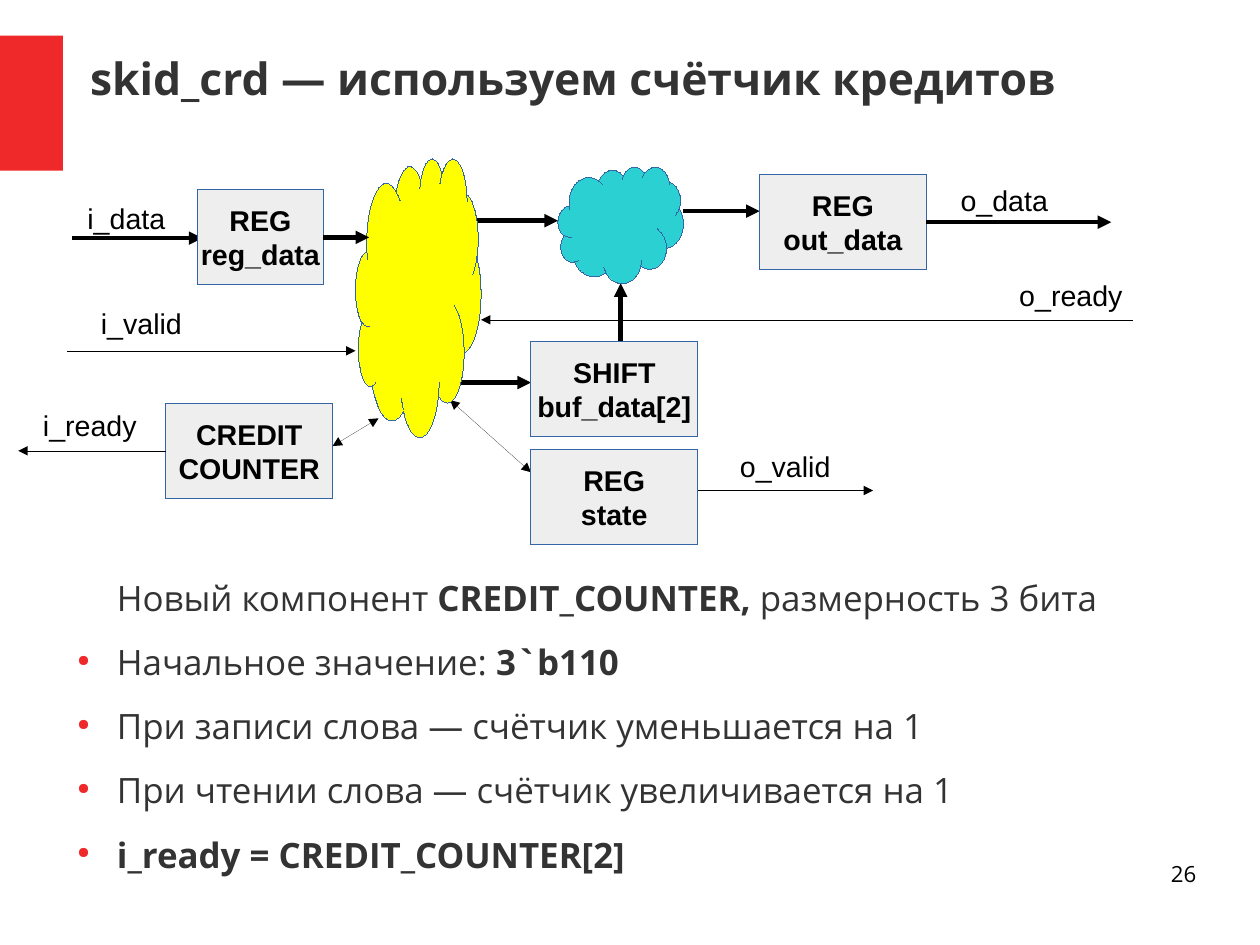
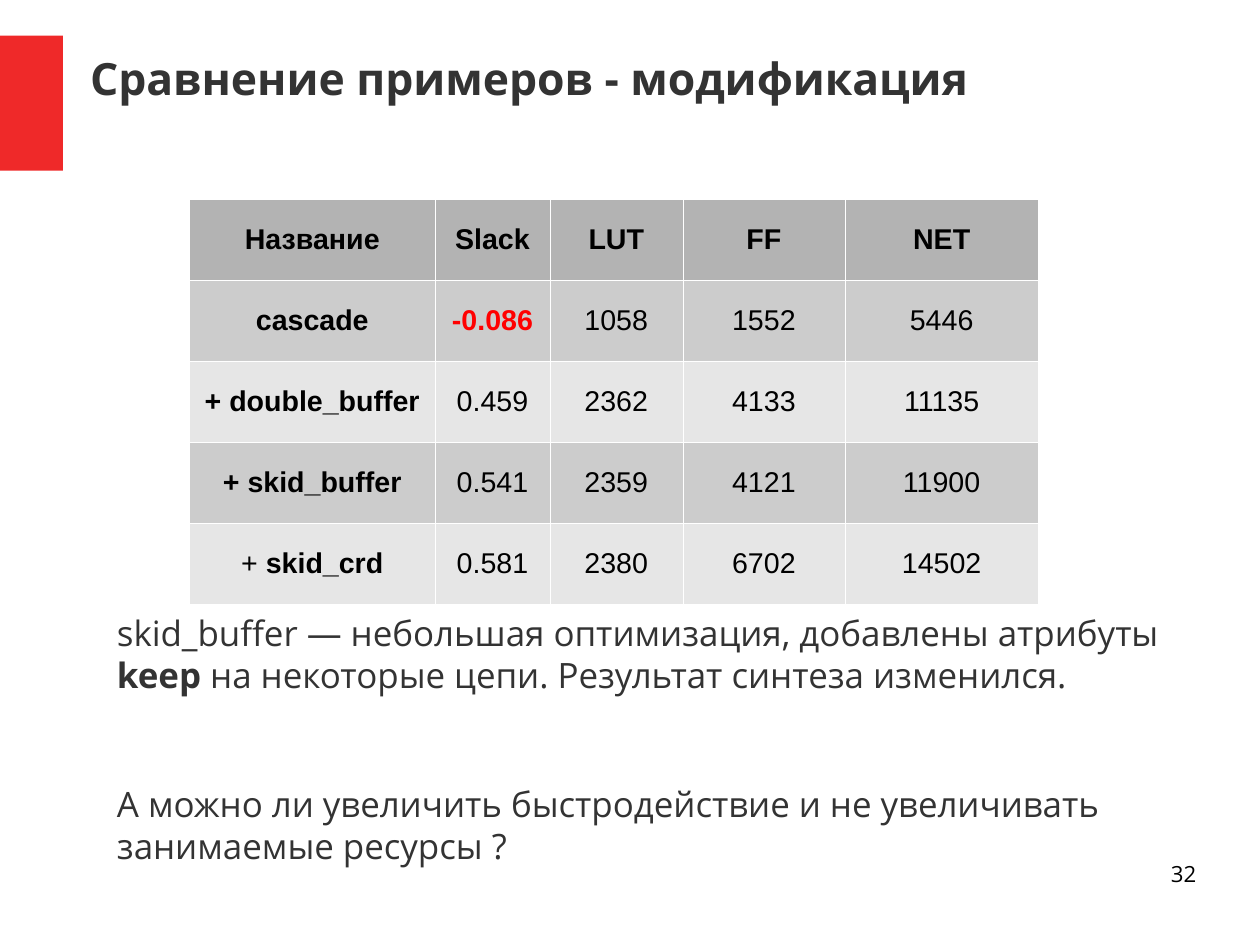
from dataclasses import dataclass
from typing import Any, NamedTuple, Optional

from lxml import etree
from pptx import Presentation
from pptx.dml.color import RGBColor
from pptx.enum.shapes import MSO_CONNECTOR, MSO_SHAPE
from pptx.enum.text import MSO_ANCHOR, PP_ALIGN
from pptx.oxml.ns import qn
from pptx.shapes.autoshape import Shape
from pptx.slide import Slide
from pptx.util import Pt

RECTANGLE, CLOUD = MSO_SHAPE.RECTANGLE, MSO_SHAPE.CLOUD
STRAIGHT = MSO_CONNECTOR.STRAIGHT
TOP, MIDDLE = MSO_ANCHOR.TOP, MSO_ANCHOR.MIDDLE
LEFT, CENTER, RIGHT = PP_ALIGN.LEFT, PP_ALIGN.CENTER, PP_ALIGN.RIGHT
LEFT_SIDE, RIGHT_SIDE = 1, 3

COLORS = {
    "accent": "EF2929", "heading": "333333", "ink": "000000", "alert": "FF0000",
    "outline": "3465A4", "box": "EEEEEE", "logic": "FFFF00", "mux": "2BD0D2",
    "header": "B3B3B3", "odd": "CCCCCC", "even": "E6E6E6", "grid": "FFFFFF",
}
TITLE_FONT = {"name": "Open Sans", "size": Pt(28), "bold": True}
BODY_FONT = {"name": "Open Sans", "size": Pt(22)}
NUMBER_FONT = {"name": "Open Sans", "size": Pt(14)}
DIAGRAM_FONT = {"name": "Arial", "size": Pt(18)}
NO_MARGINS = {"margin_left": 0, "margin_right": 0, "margin_top": 0, "margin_bottom": 0}
HAIRLINE, BUS = 0, 2.83


class Area(NamedTuple):
    left: float
    top: float
    width: float
    height: float

    def lengths(self) -> list[int]:
        return [Pt(length) for length in self]


class Run(NamedTuple):
    text: str
    bold: bool = False
    color: str = "ink"


@dataclass(frozen=True)
class BodyLine:
    runs: tuple[Run, ...]
    bullet: bool = True
    space_after: float = 14.1


@dataclass(frozen=True)
class Block:
    lines: tuple[str, str]
    area: Area


@dataclass(frozen=True)
class Cloud:
    color: str
    area: Area


@dataclass(frozen=True)
class Signal:
    name: str
    left: float
    top: float


@dataclass(frozen=True)
class Flow:
    start: tuple[float, float]
    end: tuple[float, float]
    width: float = HAIRLINE
    head: bool = False
    tail: bool = True
    start_join: Optional[tuple[str, int]] = None
    end_join: Optional[tuple[str, int]] = None


BLOCKS = {
    "out_data": Block(("REG", "out_data"), Area(478.5, 110, 105, 60)),
    "buf_data": Block(("SHIFT", "buf_data[2]"), Area(334.5, 215, 105, 60)),
    "state": Block(("REG", "state"), Area(334.5, 283, 105, 60)),
    "reg_data": Block(("REG", "reg_data"), Area(124.5, 119.5, 79, 60)),
    "credit": Block(("CREDIT", "COUNTER"), Area(104.5, 254, 105, 60)),
}
CLOUDS = (
    Cloud("mux", Area(351.5, 105, 79, 73.5)),
    Cloud("logic", Area(224, 99.5, 79, 175.5)),
)
SIGNALS = (
    Signal("i_valid", 56.5, 189.5), Signal("i_ready", 20, 253.5),
    Signal("i_data", 48, 123), Signal("o_valid", 459, 279),
    Signal("o_ready", 635, 171.5), Signal("o_data", 598, 111.5),
)
BACK_FLOWS = (
    Flow((42.5, 221), (224, 221)),
    Flow((45.5, 150), (127.5, 150), BUS),
    Flow((439.5, 309), (550, 309)),
    Flow((303, 201.5), (714, 201.5), head=True, tail=False),
    Flow((283.5, 139), (351.5, 139), BUS),
    Flow((430.5, 133), (478.5, 133), BUS),
    Flow((391, 215), (391, 178.5), BUS),
    Flow((266.5, 241), (334.5, 241), BUS),
    Flow((283.5, 252), (334.5, 297.5), head=True),
)
FRONT_FLOWS = (
    Flow((583.5, 140), (700, 140), BUS, start_join=("out_data", RIGHT_SIDE)),
    Flow((11.5, 284), (104.5, 284), head=True, tail=False, end_join=("credit", LEFT_SIDE)),
    Flow((203.5, 149.5), (232.5, 149.5), BUS, start_join=("reg_data", RIGHT_SIDE)),
    Flow((209.5, 281), (238.5, 263.5), head=True),
)


def body_run(text: str, bold: bool = False) -> Run:
    return Run(text, bold, "heading")


CREDIT_NOTES = (
    BodyLine((body_run("Новый компонент "), body_run("CREDIT_COUNTER, ", True),
              body_run("размерность 3 бита")), bullet=False),
    BodyLine((body_run("Начальное значение: "), body_run("3`b110", True))),
    BodyLine((body_run("При записи слова — счётчик уменьшается на 1"),)),
    BodyLine((body_run("При чтении слова — счётчик увеличивается на 1"),)),
    BodyLine((body_run("i_ready = CREDIT_COUNTER[2]", True),)),
)
RESULT_NOTES = (
    BodyLine((body_run("skid_buffer — небольшая оптимизация, добавлены атрибуты "),
              body_run("keep", True),
              body_run(" на некоторые цепи. Результат синтеза изменился.")),
             bullet=False, space_after=55),
    BodyLine((body_run("А можно ли увеличить быстродействие и не увеличивать "
                       "занимаемые ресурсы ?"),), bullet=False),
)
HEADINGS = ("Название", "Slack", "LUT", "FF", "NET")
RESULTS = (
    ((Run("cascade", True),), "-0.086", "1058", "1552", "5446"),
    ((Run("+ double_buffer", True),), "0.459", "2362", "4133", "11135"),
    ((Run("+ skid_buffer", True),), "0.541", "2359", "4121", "11900"),
    ((Run("+ "), Run("skid_crd", True)), "0.581", "2380", "6702", "14502"),
)
COLUMN_WIDTHS = (155, 72, 84, 102, 122)
ROW_HEIGHT = 51.1


def rgb(color: str) -> RGBColor:
    return RGBColor.from_string(COLORS[color])


def apply(target: Any, values: dict[str, Any]) -> None:
    for attribute, value in values.items():
        setattr(target, attribute, value)


def set_outline(shape: Any, color: str, width: float) -> Any:
    """Write the width even when it is zero, so that the theme's is not used."""
    shape.line.color.rgb = rgb(color)
    outline = shape._element.spPr.find(qn("a:ln"))
    outline.set("w", str(Pt(width)))
    return outline


def add_runs(paragraph: Any, runs: tuple[Run, ...], font: dict[str, Any]) -> None:
    for part in runs:
        run = paragraph.add_run()
        run.text = part.text
        apply(run.font, {"bold": part.bold, **font})
        run.font.color.rgb = rgb(part.color)


def add_text(slide: Slide, area: Area, run: Run, font: dict[str, Any],
             align: PP_ALIGN = LEFT, frame: Optional[dict[str, Any]] = None) -> None:
    box = slide.shapes.add_textbox(*area.lengths()).text_frame
    apply(box, {"word_wrap": True, **(frame or {})})
    box.paragraphs[0].alignment = align
    add_runs(box.paragraphs[0], (run,), font)


def add_filled(slide: Slide, preset: MSO_SHAPE, area: Area, color: str,
               outlined: bool = True) -> Shape:
    shape = slide.shapes.add_shape(preset, *area.lengths())
    shape.shadow.inherit = False
    shape.fill.solid()
    shape.fill.fore_color.rgb = rgb(color)
    if outlined:
        set_outline(shape, "outline", HAIRLINE)
    else:
        shape.line.fill.background()
    return shape


def add_framed_slide(deck: Any, title: str, number: str) -> Slide:
    """Blank slide with the red band, title and page number."""
    slide = deck.slides.add_slide(deck.slide_layouts[6])
    add_filled(slide, RECTANGLE, Area(0, 22.5, 39.7, 85), "accent", outlined=False)
    add_text(slide, Area(56.7, 24, 697, 50), Run(title, True, "heading"), TITLE_FONT,
             frame={**NO_MARGINS, "vertical_anchor": MIDDLE})
    add_text(slide, Area(568.7, 542, 185, 41), Run(number), NUMBER_FONT, RIGHT,
             {**NO_MARGINS, "vertical_anchor": TOP})
    return slide


def add_bullet(properties: Any) -> None:
    color = etree.SubElement(properties, qn("a:buClr"))
    etree.SubElement(color, qn("a:srgbClr"), val=COLORS["accent"])
    etree.SubElement(properties, qn("a:buSzPct"), val="45000")
    etree.SubElement(properties, qn("a:buChar"), char="●")


def add_body(slide: Slide, area: Area, lines: tuple[BodyLine, ...]) -> None:
    body = slide.shapes.add_textbox(*area.lengths()).text_frame
    apply(body, {"word_wrap": True, **NO_MARGINS})
    for index, line in enumerate(lines):
        paragraph = body.add_paragraph() if index else body.paragraphs[0]
        properties = paragraph._p.get_or_add_pPr()
        properties.set("marL", str(Pt(34)))
        properties.set("indent", str(Pt(-25 if line.bullet else 0)))
        if line.bullet:
            add_bullet(properties)
        paragraph.space_after = Pt(line.space_after)
        add_runs(paragraph, line.runs, BODY_FONT)


def add_block(slide: Slide, block: Block) -> Shape:
    shape = add_filled(slide, RECTANGLE, block.area, "box")
    label = shape.text_frame
    apply(label, {"word_wrap": False, "vertical_anchor": MIDDLE})
    for index, text in enumerate(block.lines):
        paragraph = label.add_paragraph() if index else label.paragraphs[0]
        paragraph.alignment = CENTER
        add_runs(paragraph, (Run(text, True),), DIAGRAM_FONT)
    return shape


def add_flow(slide: Slide, flow: Flow, blocks: dict[str, Shape]) -> None:
    ends = [Pt(length) for length in (*flow.start, *flow.end)]
    arrow = slide.shapes.add_connector(STRAIGHT, *ends)
    outline = set_outline(arrow, "ink", flow.width)
    for tag, shown in (("a:headEnd", flow.head), ("a:tailEnd", flow.tail)):
        if shown:
            etree.SubElement(outline, qn(tag), type="triangle")
    etree.SubElement(arrow._element.spPr, qn("a:effectLst"))
    for connect, join in ((arrow.begin_connect, flow.start_join),
                          (arrow.end_connect, flow.end_join)):
        if join:
            connect(blocks[join[0]], join[1])


def add_diagram(slide: Slide) -> None:
    for flow in BACK_FLOWS:
        add_flow(slide, flow, {})
    blocks = {key: add_block(slide, block) for key, block in BLOCKS.items()}
    for cloud in CLOUDS:
        add_filled(slide, CLOUD, cloud.area, cloud.color)
    for flow in FRONT_FLOWS:
        add_flow(slide, flow, blocks)
    for signal in SIGNALS:
        add_text(slide, Area(signal.left, signal.top, 80, 28), Run(signal.name), DIAGRAM_FONT)


def fill_cell(cell: Any, runs: tuple[Run, ...], color: str) -> None:
    properties = cell._tc.get_or_add_tcPr()
    for side in ("a:lnL", "a:lnR", "a:lnT", "a:lnB"):
        border = etree.SubElement(properties, qn(side), w=str(Pt(0.06)))
        solid = etree.SubElement(border, qn("a:solidFill"))
        etree.SubElement(solid, qn("a:srgbClr"), val=COLORS["grid"])
    cell.fill.solid()
    cell.fill.fore_color.rgb = rgb(color)
    cell.vertical_anchor = MIDDLE
    paragraph = cell.text_frame.paragraphs[0]
    paragraph.alignment = CENTER
    add_runs(paragraph, runs, DIAGRAM_FONT)


def value_run(value: str) -> Run:
    """Negative values stand out in bold red."""
    return Run(value, True, "alert") if value.startswith("-") else Run(value)


def add_results(slide: Slide) -> None:
    rows = [[(Run(heading, True),) for heading in HEADINGS]]
    rows += [[name, *((value_run(value),) for value in values)] for name, *values in RESULTS]
    area = Area(119.2, 125.3, sum(COLUMN_WIDTHS), ROW_HEIGHT * len(rows))
    table = slide.shapes.add_table(len(rows), len(HEADINGS), *area.lengths()).table
    apply(table, {"first_row": False, "horz_banding": False})
    for column, width in zip(table.columns, COLUMN_WIDTHS):
        column.width = Pt(width)
    for row_index, row in enumerate(rows):
        table.rows[row_index].height = Pt(ROW_HEIGHT)
        color = ("even", "odd")[row_index % 2] if row_index else "header"
        for column_index, runs in enumerate(row):
            fill_cell(table.cell(row_index, column_index), runs, color)


def main() -> None:
    deck = Presentation()
    apply(deck, {"slide_width": Pt(793.7), "slide_height": Pt(595.28)})

    credit = add_framed_slide(deck, "skid_crd — используем счётчик кредитов", "26")
    add_body(credit, Area(39.7, 363, 742, 193), CREDIT_NOTES)
    add_diagram(credit)

    comparison = add_framed_slide(deck, "Сравнение примеров - модификация", "32")
    add_body(comparison, Area(39.7, 385, 726, 193), RESULT_NOTES)
    add_results(comparison)

    deck.save("out.pptx")


if __name__ == "__main__":
    main()
